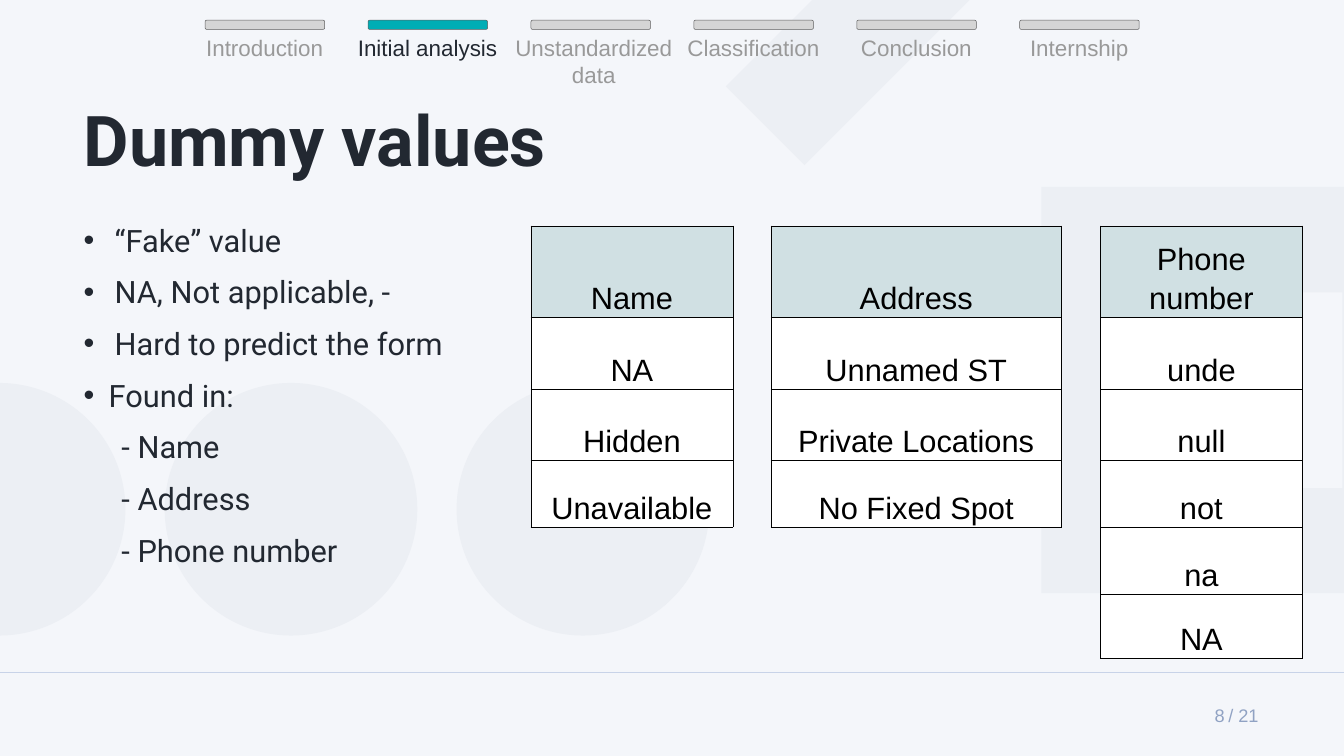
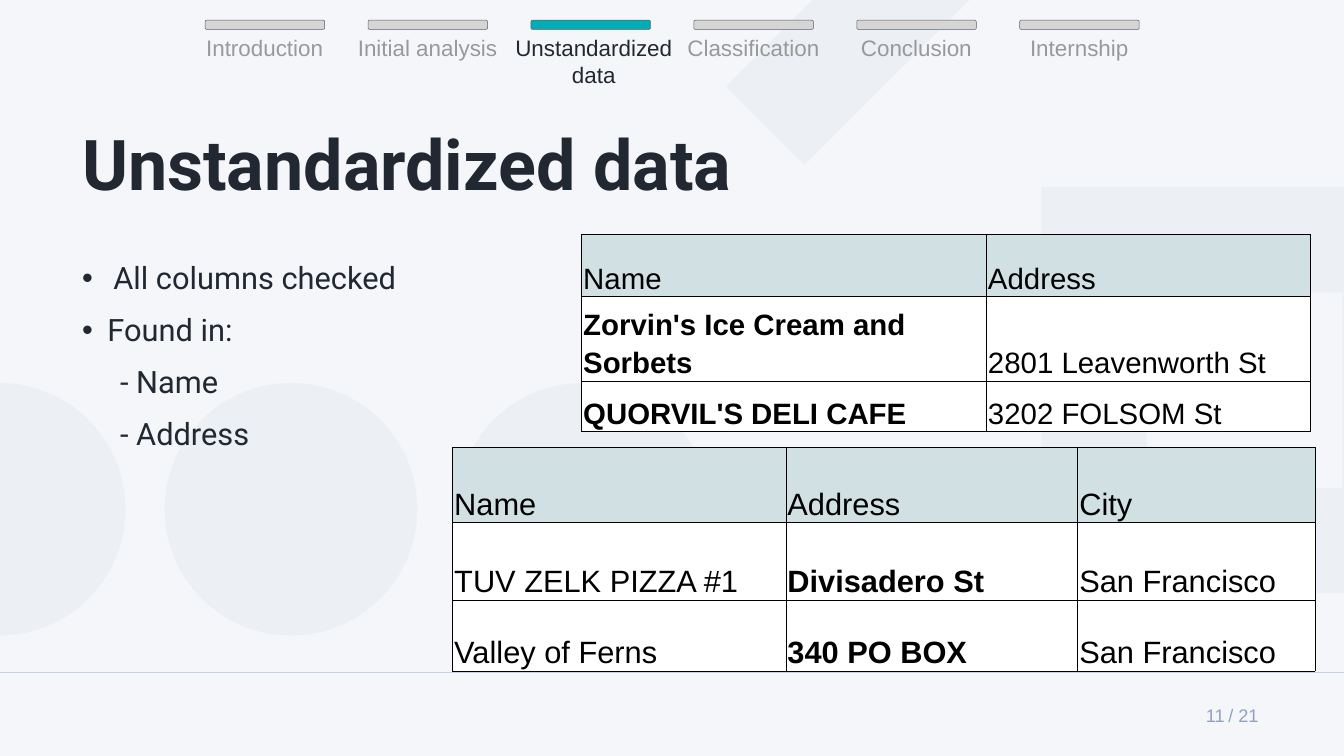
from itertools import accumulate

from lxml.etree import SubElement
from pptx import Presentation
from pptx.dml.color import RGBColor
from pptx.enum.shapes import MSO_CONNECTOR as Connector, MSO_SHAPE as Shape
from pptx.enum.text import MSO_ANCHOR as Anchor, MSO_AUTO_SIZE as AutoSize, PP_ALIGN as Align
from pptx.oxml.ns import qn
from pptx.util import Cm, Pt

WIDTH, HEIGHT = 67.73, 38.1
PAGE, DECOR, RULE = "F4F6FA", "ECEFF4", "C8D3E8"
INK, MUTED, FOOTER = "222831", "999999", "90A2C3"
ACTIVE, IDLE, BAR_EDGE = "00ADB5", "D5D5D5", "5E5E5E"
HEADER, WHITE, BLACK = "D0E0E3", "FFFFFF", "000000"
HEADING_FONT, PLAIN_FONT = "Roboto", "Arial"

SECTIONS = ["Introduction", "Initial analysis", "Unstandardized data",
            "Classification", "Conclusion", "Internship"]
WIDE_LABEL = "Unstandardized data"
PAGE_TOTAL = 21

DUMMY_ROWS = [4.62, 3.61, 3.56, 3.38, 3.38, 3.23]


def dummy_table(left, width, values, header_margin=0.08):
    return dict(left=left, top=11.38, columns=[width], rows=DUMMY_ROWS[:len(values)], size=44,
                align=Align.CENTER, bold_column=None, header_margin=header_margin,
                cells=[[value] for value in values])


SLIDES = [
    dict(
        section="Initial analysis", page=8, page_width=0.81,
        title="Dummy values", title_box=(4.06, 5.51, 28.22, 3.71),
        points_box=(4.06, 10.26, 28.22, 17.96),
        points=[("point", "“Fake” value"), ("point", "NA, Not applicable, -"),
                ("point", "Hard to predict the form"), ("lead", "Found in:"),
                ("sub", "- Name"), ("sub", "- Address"), ("sub", "- Phone number")],
        tables=[
            dummy_table(55.45, 10.19, ["Phone number", "unde", "null", "not", "na", "NA"], 0.25),
            dummy_table(26.75, 10.19, ["Name", "NA", "Hidden", "Unavailable"]),
            dummy_table(38.86, 14.63, ["Address", "Unnamed ST", "Private Locations",
                                       "No Fixed Spot"]),
        ],
    ),
    dict(
        section="Unstandardized data", page=11, page_width=2.54,
        title="Unstandardized data", title_box=(3.99, 6.73, 42.93, 3.71),
        points_box=(3.99, 12.17, 26.21, 10.06),
        points=[("point", "All columns checked"), ("lead", "Found in:"),
                ("sub", "- Name"), ("sub", "- Address")],
        tables=[
            dict(left=29.31, top=11.81, columns=[20.4, 16.33], rows=[3.12, 4.27, 2.54], size=42,
                 align=Align.LEFT, bold_column=0, header_margin=0.08,
                 cells=[["Name", "Address"],
                        ["Zorvin's Ice Cream and Sorbets", "2801 Leavenworth St"],
                        ["QUORVIL'S DELI CAFE", "3202 FOLSOM St"]]),
            dict(left=22.81, top=22.53, columns=[16.79, 14.71, 11.96], rows=[3.81, 3.91, 3.58],
                 size=44, align=Align.LEFT, bold_column=1, header_margin=0.08,
                 cells=[["Name", "Address", "City"],
                        ["TUV ZELK PIZZA #1", "Divisadero St", "San Francisco"],
                        ["Valley of Ferns", "340 PO BOX", "San Francisco"]]),
        ],
    ),
]

POINT_STYLES = {
    "point": dict(margin=1.57, indent=-1.57, bullet=True, align=Align.LEFT, level=0),
    "lead": dict(margin=1.27, indent=-1.27, bullet=True, align=Align.JUSTIFY, level=0),
    "sub": dict(margin=2.54, indent=-0.63, bullet=False, align=Align.JUSTIFY, level=1),
}


def color(hex_code):
    return RGBColor.from_string(hex_code)


def paint(fill, hex_code):
    fill.solid()
    fill.fore_color.rgb = color(hex_code)


def add_block(slide, preset, box, fill, edge=None):
    block = slide.shapes.add_shape(preset, *map(Cm, box))
    block.shadow.inherit = False
    paint(block.fill, fill)
    if edge:
        block.line.color.rgb = color(edge)
        block.line.width = Pt(0.75)
    else:
        block.line.fill.background()
    return block


def set_margins(target, horizontal, vertical):
    target.margin_left = target.margin_right = Cm(horizontal)
    target.margin_top = target.margin_bottom = Cm(vertical)


def add_frame(slide, box, margin, grow=True, anchor=Anchor.TOP):
    frame = slide.shapes.add_textbox(*map(Cm, box)).text_frame
    frame.word_wrap = True
    frame.auto_size = AutoSize.SHAPE_TO_FIT_TEXT if grow else AutoSize.NONE
    frame.vertical_anchor = anchor
    set_margins(frame, margin, margin)
    return frame


def write(paragraph, text, size, font, hex_code, align=Align.LEFT, bold=False, spacing=None):
    paragraph.alignment = align
    if spacing:
        paragraph.line_spacing = spacing
    run = paragraph.add_run()
    run.text = text
    run.font.size = Pt(size)
    run.font.name = font
    run.font.bold = bold
    run.font.color.rgb = color(hex_code)


def add_backdrop(slide):
    paint(slide.background.fill, PAGE)
    add_block(slide, Shape.RECTANGLE, (36.73, -0.89, 12.5, 5.61), DECOR).rotation = 315
    add_block(slide, Shape.RECTANGLE, (52.48, 9.42, 20.47, 20.47), DECOR)
    add_block(slide, Shape.RECTANGLE, (57.79, 14.73, 9.86, 9.86), PAGE)
    for position in range(3):
        add_block(slide, Shape.OVAL, (23.01 - 14.71 * position, 19.3, 12.73, 12.73), DECOR)
    rule = slide.shapes.add_connector(Connector.STRAIGHT, 0, Cm(33.88), Cm(WIDTH), Cm(33.88))
    rule.line.color.rgb = color(RULE)
    rule.line.width = Pt(2)
    SubElement(rule._element.spPr, qn("a:effectLst"))


def add_footer(slide, page, page_width):
    number = add_frame(slide, (61.87 - page_width, 35.33, page_width, 1.4), 0.15,
                       anchor=Anchor.BOTTOM)
    write(number.paragraphs[0], str(page), 26, PLAIN_FONT, FOOTER, Align.RIGHT)
    total = add_frame(slide, (61.75, 35.33, 2.03, 1.4), 0.15, anchor=Anchor.BOTTOM)
    write(total.paragraphs[0], f"/ {PAGE_TOTAL}", 26, PLAIN_FONT, FOOTER)


def add_points(slide, box, points):
    frame = add_frame(slide, box, 0.15)
    for position, (kind, text) in enumerate(points):
        style = POINT_STYLES[kind]
        paragraph = frame.add_paragraph() if position else frame.paragraphs[0]
        paragraph.level = style["level"]
        properties = paragraph._p.get_or_add_pPr()
        properties.set("marL", str(Cm(style["margin"])))
        properties.set("indent", str(Cm(style["indent"])))
        if style["bullet"]:
            bullet_color = SubElement(properties, qn("a:buClr"))
            SubElement(bullet_color, qn("a:srgbClr"), val=INK)
            SubElement(properties, qn("a:buFont"), typeface=PLAIN_FONT)
            SubElement(properties, qn("a:buChar"), char="•")
        else:
            SubElement(properties, qn("a:buNone"))
        write(paragraph, text, 44, HEADING_FONT, INK, style["align"], spacing=1.4)


def add_borders(cell):
    properties = cell._tc.get_or_add_tcPr()
    for side in ("a:lnL", "a:lnR", "a:lnT", "a:lnB"):
        border = SubElement(properties, qn(side), w=str(Pt(0.75)))
        SubElement(SubElement(border, qn("a:solidFill")), qn("a:srgbClr"), val=BLACK)


def add_grid(slide, content):
    columns, rows = content["columns"], content["rows"]
    box = (content["left"], content["top"], sum(columns), sum(rows))
    table = slide.shapes.add_table(len(rows), len(columns), *map(Cm, box)).table
    table.first_row = table.horz_banding = False
    for column, width in zip(table.columns, columns):
        column.width = Cm(width)
    for row, height in zip(table.rows, rows):
        row.height = Cm(height)
    for r, values in enumerate(content["cells"]):
        for c, value in enumerate(values):
            cell = table.cell(r, c)
            is_header = r == 0
            add_borders(cell)
            paint(cell.fill, HEADER if is_header else WHITE)
            cell.vertical_anchor = Anchor.BOTTOM
            set_margins(cell, content["header_margin"] if is_header else 0.08, 0.05)
            write(cell.text_frame.paragraphs[0], value, content["size"], PLAIN_FONT, BLACK,
                  content["align"], not is_header and c == content["bold_column"], 1.15)


def add_progress(slide, current):
    lefts = accumulate([8.21] * (len(SECTIONS) - 1), initial=10.34)
    for section, left in zip(SECTIONS, lefts):
        is_current = section == current
        add_block(slide, Shape.ROUNDED_RECTANGLE, (left, 1.02, 6.02, 0.46),
                  ACTIVE if is_current else IDLE, BAR_EDGE)
        width = 8.53 if section == WIDE_LABEL else 8.2
        label = add_frame(slide, (left - 1.1, 1.47, width, 1.4), 0.25, grow=False)
        write(label.paragraphs[0], section, 32, PLAIN_FONT, INK if is_current else MUTED,
              Align.CENTER)


def main():
    deck = Presentation()
    deck.slide_width, deck.slide_height = Cm(WIDTH), Cm(HEIGHT)
    for content in SLIDES:
        slide = deck.slides.add_slide(deck.slide_layouts[6])
        add_backdrop(slide)
        title = add_frame(slide, content["title_box"], 0.15)
        write(title.paragraphs[0], content["title"], 100, HEADING_FONT, INK, bold=True,
              spacing=0.8)
        add_footer(slide, content["page"], content["page_width"])
        add_points(slide, content["points_box"], content["points"])
        for table in content["tables"]:
            add_grid(slide, table)
        add_progress(slide, content["section"])
    deck.save("out.pptx")


if __name__ == "__main__":
    main()
